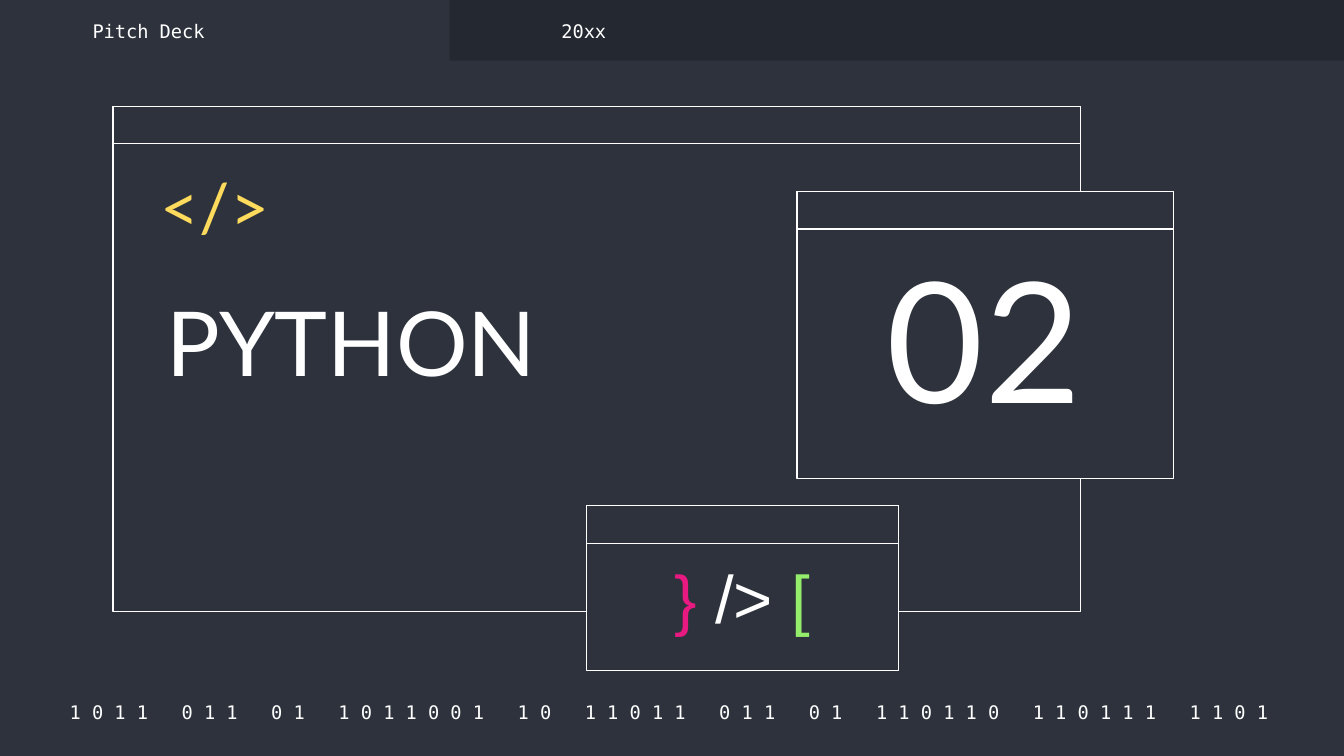
import pptx
import pptx.util
import pptx.dml.color
import pptx.enum.shapes
import pptx.enum.text

Cm = pptx.util.Cm
ALIGN = pptx.enum.text.PP_ALIGN
ANCHOR = pptx.enum.text.MSO_ANCHOR
COLORS = {
    "slate": "2D323C",
    "dark": "242830",
    "white": "FFFFFF",
    "yellow": "FFDB5D",
    "pink": "E81981",
    "green": "94EE6B",
}
MONO = "DejaVu Sans Mono"
BAR_HEIGHT = 0.71


def add_panel(shapes, box, fill, outlined=True):
    panel = shapes.add_shape(
        pptx.enum.shapes.MSO_SHAPE.RECTANGLE, *[Cm(n) for n in box])
    panel.shadow.inherit = False
    panel.fill.solid()
    panel.fill.fore_color.rgb = pptx.dml.color.RGBColor.from_string(COLORS[fill])
    if outlined:
        panel.line.color.rgb = pptx.dml.color.RGBColor.from_string(COLORS["white"])
        panel.line.width = pptx.util.Pt(0.75)
    else:
        panel.line.fill.background()


def write_text(holder, box, runs, font, size, align, anchor, spacing=1.0):
    holder.left, holder.top, holder.width, holder.height = [Cm(n) for n in box]
    frame = holder.text_frame
    frame.word_wrap = True
    frame.auto_size = pptx.enum.text.MSO_AUTO_SIZE.NONE
    frame.vertical_anchor = anchor
    frame.margin_left = frame.margin_right = Cm(0.25)
    frame.margin_top = frame.margin_bottom = Cm(0.25)
    paragraph = frame.paragraphs[0]
    paragraph.alignment = align
    paragraph.line_spacing = spacing
    for words, color in runs:
        run = paragraph.add_run()
        run.text = words
        run.font.name = font
        run.font.size = pptx.util.Pt(size)
        run.font.color.rgb = pptx.dml.color.RGBColor.from_string(COLORS[color])


deck = pptx.Presentation()
deck.slide_width = Cm(25.4)
deck.slide_height = Cm(14.29)
slide = deck.slides.add_slide(deck.slide_layouts[5])
slide.background.fill.solid()
slide.background.fill.fore_color.rgb = pptx.dml.color.RGBColor.from_string(COLORS["slate"])

add_panel(slide.shapes, (8.5, 0, 16.9, 1.15), "dark", outlined=False)

windows = [
    (2.14, 2.01, 18.28, 9.55),
    (11.09, 9.56, 5.89, 3.12),
    (15.06, 3.62, 7.12, 5.43),
]
for left, top, width, height in windows:
    window = slide.shapes.add_group_shape()
    add_panel(window.shapes, (left, top, width, height), "slate")
    add_panel(window.shapes, (left, top, width, BAR_HEIGHT), "slate")

section_title = slide.shapes.title
section_title.element.getparent().append(section_title.element)
write_text(section_title, (2.9, 5.18, 12.17, 2.29), [("PYTHON", "white")],
           "Lato", 48, ALIGN.LEFT, ANCHOR.TOP)

binary = ("1 0 1 1   0 1 1   0 1   1 0 1 1 0 0 1   1 0   1 1 0 1 1   "
          "0 1 1   0 1   1 1 0 1 1 0   1 1 0 1 1 1   1 1 0 1")
labels = [
    ((0.86, 13.21, 23.55, 0.51), [(binary, "white")],
     MONO, 10, ALIGN.CENTER, ANCHOR.MIDDLE),
    ((1.5, 0.33, 5.56, 0.51), [("Pitch Deck", "white")],
     MONO, 10, ALIGN.LEFT, ANCHOR.MIDDLE),
    ((10.36, 0.33, 5.56, 0.51), [("20xx", "white")],
     MONO, 10, ALIGN.LEFT, ANCHOR.MIDDLE),
    ((15.52, 4.32, 6.17, 4.19), [("02", "white")],
     "Lato", 90, ALIGN.CENTER, ANCHOR.BOTTOM),
    ((2.34, 3.05, 3, 1.57), [("</>", "yellow")],
     "Lato", 36, ALIGN.RIGHT, ANCHOR.TOP, 0.9),
    ((12.34, 10.44, 3.38, 2.08),
     [("}", "pink"), (" /> ", "white"), ("[", "green")],
     "Arial", 36, ALIGN.CENTER, ANCHOR.TOP, 0.9),
]
for box, *style in labels:
    label = slide.shapes.add_textbox(*[Cm(n) for n in box])
    write_text(label, box, *style)

deck.save("out.pptx")
